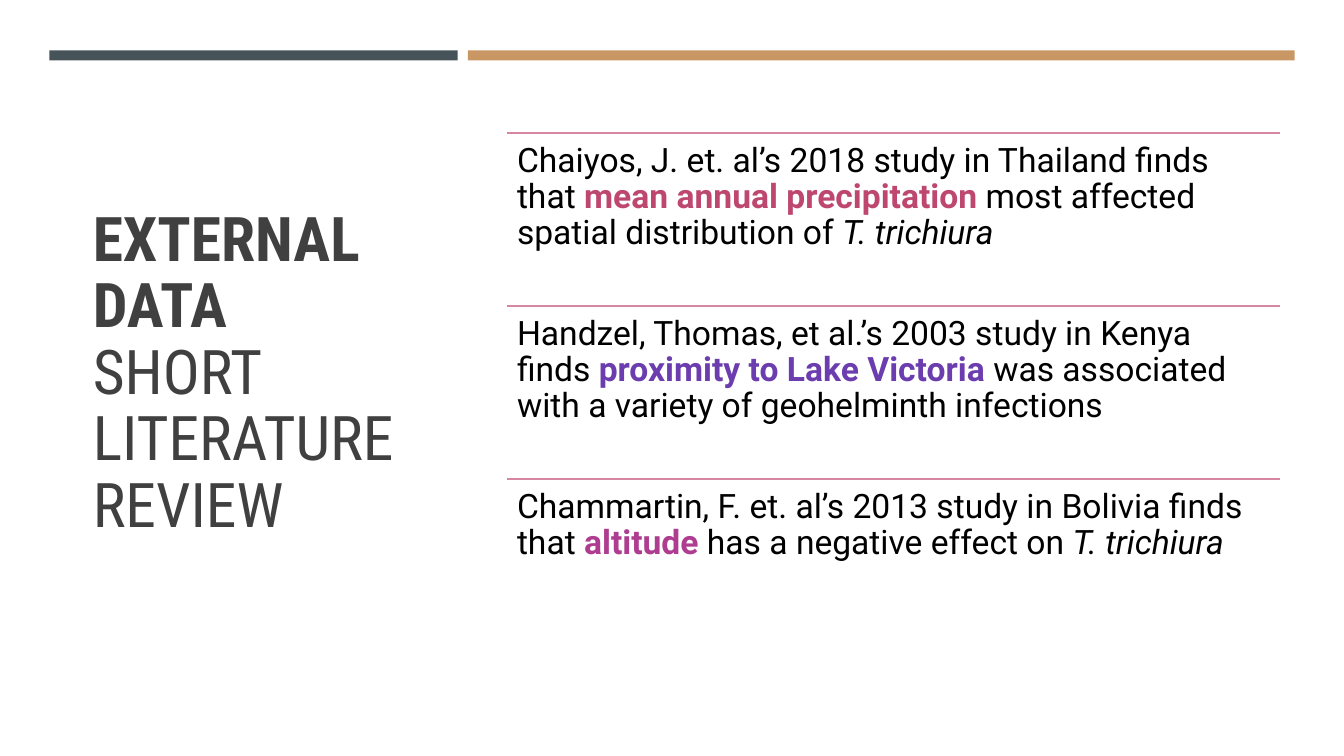
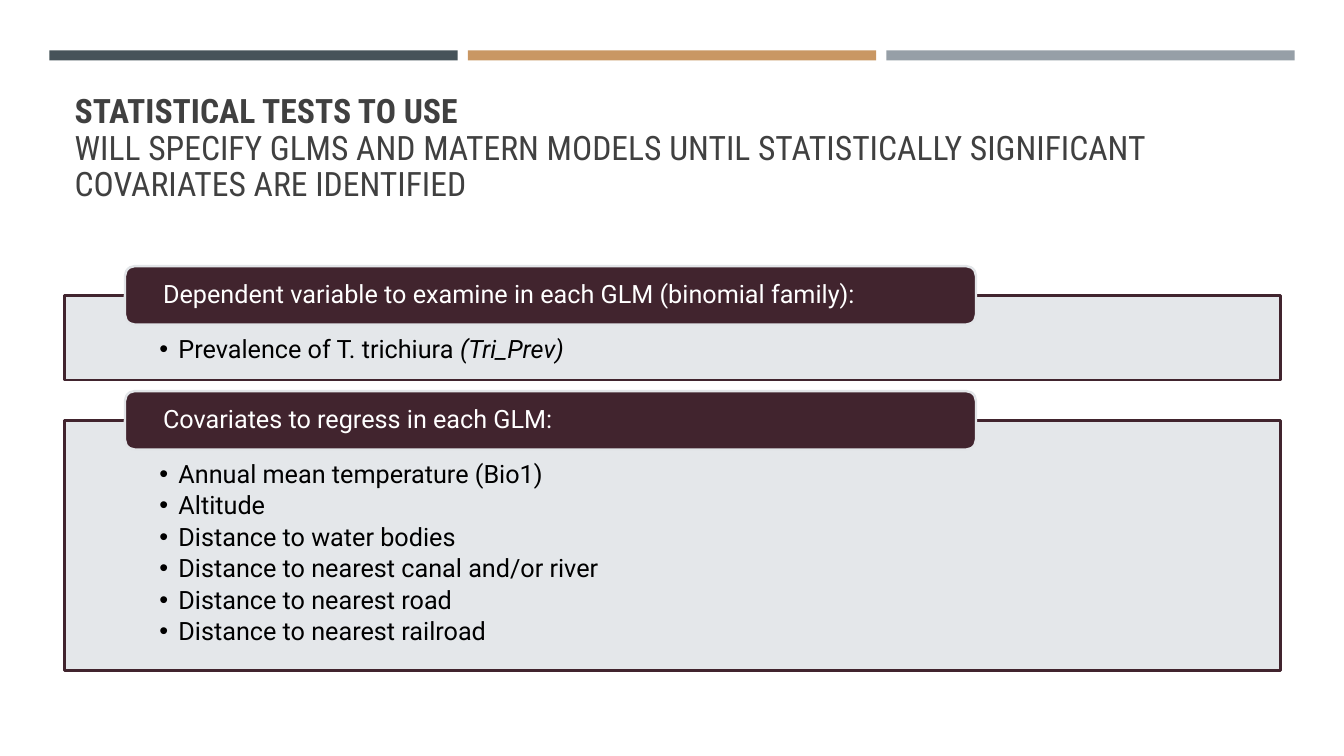
"""Build two slides: a short literature review and the planned statistical tests."""
from dataclasses import dataclass

from lxml import etree
from pptx import Presentation
from pptx.dml.color import RGBColor
from pptx.enum.shapes import MSO_CONNECTOR, MSO_SHAPE
from pptx.enum.text import MSO_ANCHOR, MSO_AUTO_SIZE, PP_ALIGN
from pptx.oxml.ns import qn
from pptx.util import Inches, Pt

RECTANGLE, ROUNDED = MSO_SHAPE.RECTANGLE, MSO_SHAPE.ROUNDED_RECTANGLE
STRAIGHT = MSO_CONNECTOR.STRAIGHT
TOP, MIDDLE, BOTTOM = MSO_ANCHOR.TOP, MSO_ANCHOR.MIDDLE, MSO_ANCHOR.BOTTOM
LEFT = PP_ALIGN.LEFT
NO_AUTOFIT = MSO_AUTO_SIZE.NONE
TITLE_ONLY = 5


@dataclass(frozen=True)
class Theme:
    heading_font: str = "Roboto Condensed"
    body_font: str = "Roboto"
    title: str = "404040"
    text: str = "000000"
    light_text: str = "FFFFFF"
    slate: str = "465359"
    tan: str = "C99763"
    gray: str = "969FA7"
    rule: str = "D587A1"
    panel: str = "E2E5E8"
    plum: str = "41242E"
    rose: str = "BE476F"
    violet: str = "6C3DAE"
    magenta: str = "AE3D91"
    large_title: int = 44
    small_title: int = 24
    study_size: int = 24
    panel_size: int = 18
    line_width: float = 1.75
    line_spacing: float = 0.9
    panel_opacity: int = 90


THEME = Theme()

REVIEW_TITLE = ("EXTERNAL DATA", "SHORT LITERATURE REVIEW")
REVIEW_BANDS = [(THEME.slate, 1), (THEME.tan, 2)]
STUDIES = [
    [("Chaiyos, J. et. al’s 2018 study in Thailand finds that ", {}),
     ("mean annual precipitation ", {"color": THEME.rose, "bold": True}),
     ("most affected spatial distribution of ", {}),
     ("T. trichiura", {"italic": True})],
    [("Handzel, Thomas, et al.’s 2003 study in Kenya finds ", {}),
     ("proximity to Lake Victoria ", {"color": THEME.violet, "bold": True}),
     ("was associated with a variety of geohelminth infections", {})],
    [("Chammartin, F. et. al’s 2013 study in Bolivia finds that ", {}),
     ("altitude", {"color": THEME.magenta, "bold": True}),
     (" has a negative effect on ", {}),
     ("T. trichiura", {"italic": True})],
]

TESTS_TITLE = (
    "STATISTICAL TESTS TO USE",
    "WILL SPECIFY GLMS AND MATERN MODELS UNTIL STATISTICALLY SIGNIFICANT "
    "COVARIATES ARE IDENTIFIED",
)
TESTS_BANDS = [(THEME.slate, 1), (THEME.tan, 1), (THEME.gray, 1)]
PANELS = [
    ("Dependent variable to examine in each GLM (binomial family):", 0.84,
     [[("Prevalence of T. trichiura ", {}), ("(Tri_Prev)", {"italic": True})]]),
    ("Covariates to regress in each GLM:", 2.48,
     [[(name, {})] for name in (
         "Annual mean temperature (Bio1)", "Altitude",
         "Distance to water bodies", "Distance to nearest canal and/or river",
         "Distance to nearest road", "Distance to nearest railroad")]),
]


def format_run(span, font, size, color, bold=False, italic=False):
    span.font.name = font
    span.font.size = Pt(size)
    span.font.bold = bold
    span.font.italic = italic
    span.font.color.rgb = RGBColor.from_string(color)


def prepare_frame(frame, anchor, insets):
    frame.word_wrap = True
    frame.auto_size = NO_AUTOFIT
    frame.vertical_anchor = anchor
    frame.margin_left, frame.margin_top, frame.margin_right, frame.margin_bottom = map(
        Inches, insets)


def write_paragraphs(frame, paragraphs, size, color=THEME.text,
                     font=THEME.body_font, space_after=0):
    for index, spans in enumerate(paragraphs):
        para = frame.add_paragraph() if index else frame.paragraphs[0]
        para.alignment = LEFT
        para.line_spacing = THEME.line_spacing
        para.space_after = Pt(space_after)
        for text, style in spans:
            span = para.add_run()
            span.text = text
            format_run(span, font, size, **{"color": color, **style})


def add_bullets(frame, indent):
    for para in frame.paragraphs:
        properties = para._p.get_or_add_pPr()
        properties.set("marL", str(indent))
        properties.set("indent", str(-indent))
        etree.SubElement(properties, qn("a:buFont")).set("typeface", "Arial")
        etree.SubElement(properties, qn("a:buChar")).set("char", "•")


def add_block(page, kind, box, fill, line=None):
    block = page.shapes.add_shape(kind, *map(Inches, box))
    block.shadow.inherit = False
    block.fill.solid()
    block.fill.fore_color.rgb = RGBColor.from_string(fill)
    if line:
        block.line.color.rgb = RGBColor.from_string(line)
        block.line.width = Pt(THEME.line_width)
    else:
        block.line.fill.background()
    return block


def set_opacity(shape, percent):
    color = shape._element.spPr.find(qn("a:solidFill"))[0]
    etree.SubElement(color, qn("a:alpha")).set("val", str(percent * 1000))


def add_rule(page, left, top, width):
    rule = page.shapes.add_connector(
        STRAIGHT, *map(Inches, (left, top, left + width, top)))
    rule.line.color.rgb = RGBColor.from_string(THEME.rule)
    rule.line.width = Pt(THEME.line_width)
    etree.SubElement(rule._element.spPr, qn("a:effectLst"))


def add_bands(page, bands):
    left, top, column, gap, height = 0.49, 0.5, 4.05, 0.1, 0.1
    for color, columns in bands:
        width = columns * column + (columns - 1) * gap
        add_block(page, RECTANGLE, (left, top, width, height), color)
        left += width + gap


def add_page(deck, title_lines, title_box, size, anchor, bands):
    page = deck.slides.add_slide(deck.slide_layouts[TITLE_ONLY])
    title = page.shapes.title
    title.left, title.top, title.width, title.height = map(Inches, title_box)
    prepare_frame(title.text_frame, anchor, (0.1, 0.05, 0.1, 0.05))
    heading, subheading = title_lines
    write_paragraphs(title.text_frame, [[(heading, {"bold": True})], [(subheading, {})]],
                     size, THEME.title, THEME.heading_font)
    add_bands(page, bands)
    return page


def add_review(deck):
    page = add_page(deck, REVIEW_TITLE, (0.82, 1.14, 3.34, 5.15),
                    THEME.large_title, MIDDLE, REVIEW_BANDS)
    left, top, width, total_height = 5.03, 1.32, 7.67, 5.15
    height = total_height / len(STUDIES)
    for index, study in enumerate(STUDIES):
        row_top = top + index * height
        add_rule(page, left, row_top, width)
        box = page.shapes.add_textbox(*map(Inches, (left, row_top, width, height)))
        prepare_frame(box.text_frame, TOP, (0.1, 0.1, 0.1, 0.1))
        write_paragraphs(box.text_frame, [study], THEME.study_size)


def add_tests(deck):
    page = add_page(deck, TESTS_TITLE, (0.64, 0.77, 12.06, 1.3),
                    THEME.small_title, BOTTOM, TESTS_BANDS)
    left, top, width = 0.64, 2.93, 12.06
    header_left, header_width, header_height = 1.24, 8.44, 0.58
    overlap, gap = header_height / 2, 0.11
    for header_text, height, items in PANELS:
        panel = add_block(page, RECTANGLE, (left, top, width, height),
                          THEME.panel, THEME.plum)
        set_opacity(panel, THEME.panel_opacity)
        prepare_frame(panel.text_frame, TOP, (0.94, 0.41, 0.94, 0.14))
        write_paragraphs(panel.text_frame, items, THEME.panel_size, space_after=3)
        add_bullets(panel.text_frame, Inches(0.19))
        header = add_block(
            page, ROUNDED, (header_left, top - overlap, header_width, header_height),
            THEME.plum, THEME.panel)
        prepare_frame(header.text_frame, MIDDLE, (0.35, 0, 0.35, 0))
        write_paragraphs(header.text_frame, [[(header_text, {})]],
                         THEME.panel_size, THEME.light_text)
        top += height + gap + overlap


def main():
    deck = Presentation()
    deck.slide_width, deck.slide_height = Inches(13.33), Inches(7.5)
    add_review(deck)
    add_tests(deck)
    deck.save("out.pptx")


if __name__ == "__main__":
    main()
